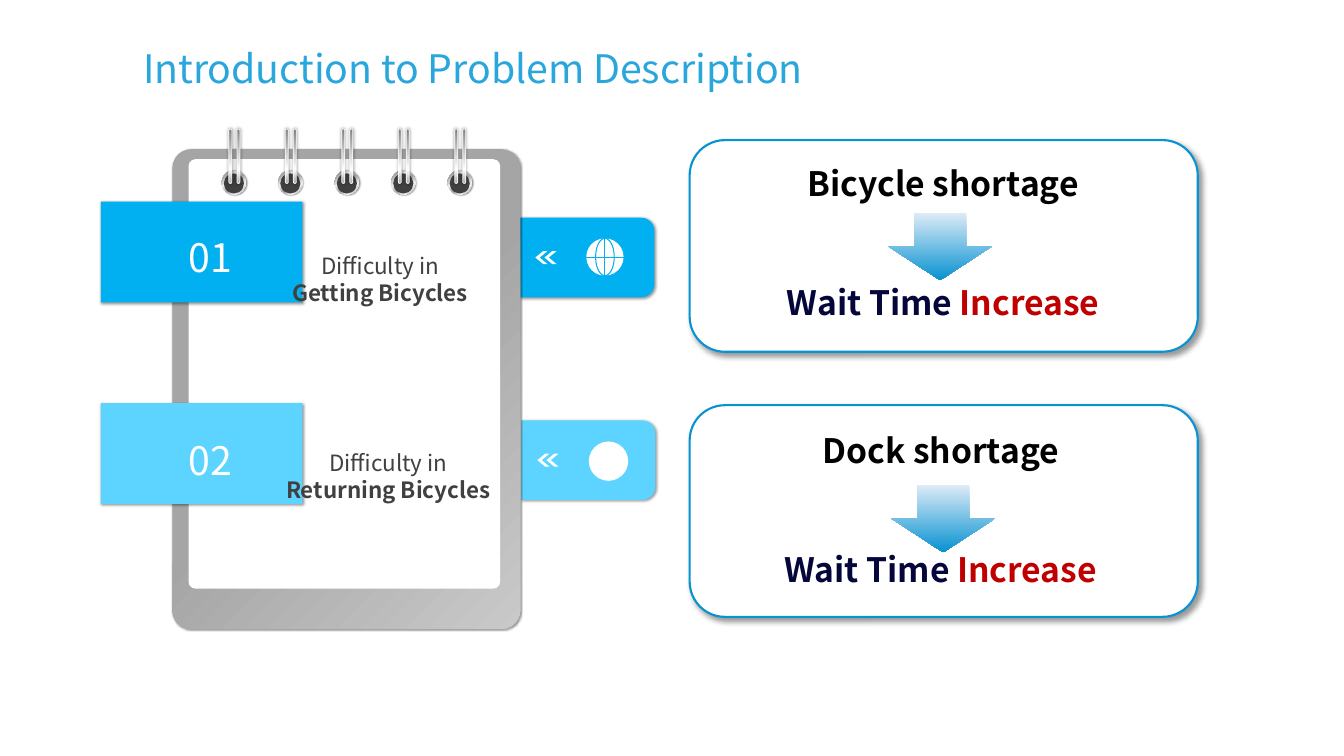
from dataclasses import dataclass
from math import cos, pi, sin

from lxml.etree import SubElement
from pptx import Presentation
from pptx.dml.color import RGBColor
from pptx.enum.shapes import MSO_CONNECTOR, MSO_SHAPE
from pptx.enum.text import PP_ALIGN
from pptx.oxml.ns import qn
from pptx.util import Inches, Pt


@dataclass(frozen=True)
class Theme:
    font: str = "Noto Sans CJK SC"
    title_size: int = 28
    card_size: int = 24
    label_size: int = 16
    title: str = "29A6DC"
    border: str = "0792D1"
    arrow_light: str = "DEEBF7"
    first_tab: str = "00B0F0"
    second_tab: str = "5DD4FF"
    white: str = "FFFFFF"
    black: str = "000000"
    dark: str = "404040"
    navy: str = "05073B"
    red: str = "C00000"
    board: tuple = ((0, "A5A5A5"), (50, "A5A5A5"), (100, "C9C9C9"))
    ring: tuple = ((0, "FFFFFF"), (17, "A6A6A6"), (35, "F2F2F2"),
                   (55, "A6A6A6"), (75, "F2F2F2"), (100, "A6A6A6"))
    wire: tuple = ((0, "808080"), (23, "A6A6A6"), (52, "D9D9D9"),
                   (74, "FFFFFF"), (100, "A6A6A6"))


THEME = Theme()


def color(value):
    return RGBColor.from_string(value)


# Effects and fills
def add_shadow(shape, blur, distance, angle=45):
    effects = SubElement(shape._element.spPr, qn("a:effectLst"))
    shadow = SubElement(effects, qn("a:outerShdw"), blurRad=str(Pt(blur)), dist=str(Pt(distance)),
                        dir=str(angle * 60000), algn="tl", rotWithShape="0")
    black = SubElement(shadow, qn("a:srgbClr"), val=THEME.black)
    SubElement(black, qn("a:alpha"), val="40000")


def fill_gradient(shape, stops, angle):
    shape.fill.gradient()
    gradient = shape._element.spPr.find(qn("a:gradFill"))
    stop_list = gradient.find(qn("a:gsLst"))
    for stop in list(stop_list):
        stop_list.remove(stop)
    for position, value in stops:
        stop = SubElement(stop_list, qn("a:gs"), pos=str(position * 1000))
        SubElement(stop, qn("a:srgbClr"), val=value)
    gradient.find(qn("a:lin")).set("ang", str(angle * 60000))


def style(shape, fill, line=None, line_width=1.0, shadow=None, angle=45):
    """Fill with a colour, a tuple of gradient stops, or nothing."""
    if fill is None:
        shape.fill.background()
    elif isinstance(fill, tuple):
        fill_gradient(shape, fill, angle)
    else:
        shape.fill.solid()
        shape.fill.fore_color.rgb = color(fill)
    if line:
        shape.line.color.rgb = color(line)
        shape.line.width = Pt(line_width)
    else:
        shape.line.fill.background()
    if shadow:
        add_shadow(shape, *shadow)
    else:
        shape.shadow.inherit = False


def add_shape(slide, kind, left, top, width, height, fill, adjustment=None, **look):
    shape = slide.shapes.add_shape(kind, Inches(left), Inches(top), Inches(width), Inches(height))
    if adjustment is not None:
        shape.adjustments[0] = adjustment
    style(shape, fill, **look)
    return shape


def add_outline(slide, points, fill, close=True, **look):
    builder = slide.shapes.build_freeform(*points[0], scale=Inches(1))
    builder.add_line_segments(points[1:], close=close)
    style(builder.convert_to_shape(), fill, **look)


def add_text(slide, left, top, width, height, paragraphs, size, align=PP_ALIGN.LEFT,
             bold=None, wrap=True, line_spacing=None, gap=0):
    """Each paragraph is a list of (text, colour, bold) runs."""
    box = slide.shapes.add_textbox(Inches(left), Inches(top), Inches(width), Inches(height))
    frame = box.text_frame
    frame.word_wrap = wrap
    for index, runs in enumerate(paragraphs):
        paragraph = frame.add_paragraph() if index else frame.paragraphs[0]
        paragraph.alignment = align
        paragraph.line_spacing = line_spacing
        if index:
            paragraph.space_before = Pt(gap)
        paragraph.font.size = Pt(size)
        paragraph.font.name = THEME.font
        paragraph.font.bold = bold
        for text, text_color, *run_bold in runs:
            run = paragraph.add_run()
            run.text = text
            run.font.color.rgb = color(text_color)
            if run_bold:
                run.font.bold = run_bold[0]


# Notepad
def add_binder_ring(slide, left):
    add_shape(slide, MSO_SHAPE.OVAL, left, 1.69, 0.24, 0.24, THEME.ring, shadow=(1, 1))
    add_shape(slide, MSO_SHAPE.OVAL, left + 0.02, 1.72, 0.2, 0.2, THEME.dark)
    for offset in (0.15, 0.07):
        add_shape(slide, MSO_SHAPE.ROUNDED_RECTANGLE, left + offset, 1.28, 0.03, 0.54, THEME.wire,
                  adjustment=0.5, line=THEME.white, line_width=0.5, shadow=(2, 0, 0), angle=90)


def add_notepad(slide):
    add_shape(slide, MSO_SHAPE.ROUNDED_RECTANGLE, 1.71, 1.48, 3.45, 4.76, THEME.board,
              adjustment=0.054, shadow=(1, 1))
    add_shape(slide, MSO_SHAPE.ROUNDED_RECTANGLE, 1.87, 1.58, 3.09, 4.26, THEME.white,
              adjustment=0.022)
    for index in range(5):
        add_binder_ring(slide, 2.2 + 0.56 * index)


# Tabs and icons
def add_back_tab(slide, left, top, fill):
    tab = add_shape(slide, MSO_SHAPE.ROUND_2_SAME_RECTANGLE, left + 0.27, top - 0.27, 0.79, 1.33,
                    fill, shadow=(2, 1))
    tab.rotation = 90


def corner(center_x, center_y, radius_x, radius_y, start, end, steps=6):
    angles = [(start + (end - start) * step / steps) * pi / 180 for step in range(steps + 1)]
    return [(center_x + radius_x * cos(a), center_y + radius_y * sin(a)) for a in angles]


def add_pointer(slide, left, top, fill, number):
    middle = 0.545
    upper = [(0.46, 0), (0.46, 0.16), *corner(0.28, 0.24, 0.11, 0.08, 270, 180),
             (0.17, 0.25), (1.32, 0.25)]
    lower = [(x, 2 * middle - y) for x, y in reversed(upper)]
    outline = [*corner(0.13, 0.1, 0.13, 0.1, 180, 270), *upper, (1.68, middle), *lower,
               *corner(0.13, 0.99, 0.13, 0.1, 90, 180)]
    add_outline(slide, [(left + x, top + y) for x, y in outline], fill, shadow=(2, 1))
    add_text(slide, 1.77, top + 0.26, 0.66, 0.57, [[(number, THEME.white)]], THEME.title_size,
             wrap=False)


def add_chevrons(slide, left, top):
    for offset in (0, 0.09):
        chevron = add_shape(slide, MSO_SHAPE.CHEVRON, left + offset, top, 0.12, 0.13, THEME.white,
                            adjustment=0.646)
        chevron.rotation = 180


def add_globe(slide, center_x, center_y, radius, line):
    look = dict(line=line, line_width=0.75)
    add_shape(slide, MSO_SHAPE.OVAL, center_x - radius, center_y - radius, 2 * radius, 2 * radius,
              THEME.white)
    add_shape(slide, MSO_SHAPE.OVAL, center_x - radius / 2, center_y - radius, radius, 2 * radius,
              None, **look)
    for dx, dy in ((radius, 0), (0, radius)):
        axis = slide.shapes.add_connector(
            MSO_CONNECTOR.STRAIGHT, Inches(center_x - dx), Inches(center_y - dy),
            Inches(center_x + dx), Inches(center_y + dy))
        axis.line.color.rgb = color(line)
        axis.line.width = Pt(0.75)
        SubElement(axis._element.spPr, qn("a:effectLst"))
    for side in (-1, 1):
        latitude = corner(center_x, center_y + side * 0.13, 0.13, side * -0.04, 0, 180)
        add_outline(slide, latitude, None, close=False, **look)


# Cards
def add_card(slide, top, text_left, text_top, text_width, heading):
    add_shape(slide, MSO_SHAPE.ROUNDED_RECTANGLE, 6.84, top, 5.04, 2.1, THEME.white,
              line=THEME.border, line_width=1.5, shadow=(4, 3))
    add_text(slide, text_left, text_top, text_width, 2.28,
             [[(heading, THEME.black)], [("Wait Time ", THEME.navy), ("Increase", THEME.red)]],
             THEME.card_size, PP_ALIGN.CENTER, bold=True, line_spacing=1.5, gap=41.5)


def main():
    presentation = Presentation()
    presentation.slide_width, presentation.slide_height = Inches(13.33), Inches(7.5)
    slide = presentation.slides.add_slide(presentation.slide_layouts[6])

    add_text(slide, 1.32, 0.39, 7.32, 0.57, [[("Introduction to Problem Description", THEME.title)]],
             THEME.title_size)

    add_card(slide, 1.39, 7.14, 1.37, 4.43, "Bicycle shortage")
    add_card(slide, 4.02, 6.93, 4.02, 4.8, "Dock shortage")
    for left, top in ((8.81, 2.11), (8.84, 4.81)):
        add_shape(slide, MSO_SHAPE.DOWN_ARROW, left, top, 1.03, 0.67,
                  ((0, THEME.arrow_light), (100, THEME.border)), angle=90)

    add_back_tab(slide, 5.16, 2.16, THEME.first_tab)
    add_back_tab(slide, 5.17, 4.17, THEME.second_tab)
    add_notepad(slide)
    add_pointer(slide, 1.26, 2.01, THEME.first_tab, "01")
    add_pointer(slide, 1.24, 4.02, THEME.second_tab, "02")
    add_chevrons(slide, 5.31, 2.49)
    add_chevrons(slide, 5.33, 4.5)
    add_globe(slide, 6, 2.55, 0.185, THEME.first_tab)
    add_shape(slide, MSO_SHAPE.OVAL, 5.84, 4.38, 0.39, 0.39, THEME.white)

    for left, top, width, action in ((2.66, 2.45, 2.22, "Getting Bicycles"),
                                     (2.64, 4.41, 2.42, "Returning Bicycles")):
        add_text(slide, left, top, width, 0.64,
                 [[("Difficulty in ", THEME.dark), (action, THEME.dark, True)]],
                 THEME.label_size, PP_ALIGN.CENTER)

    presentation.save("out.pptx")


if __name__ == "__main__":
    main()
